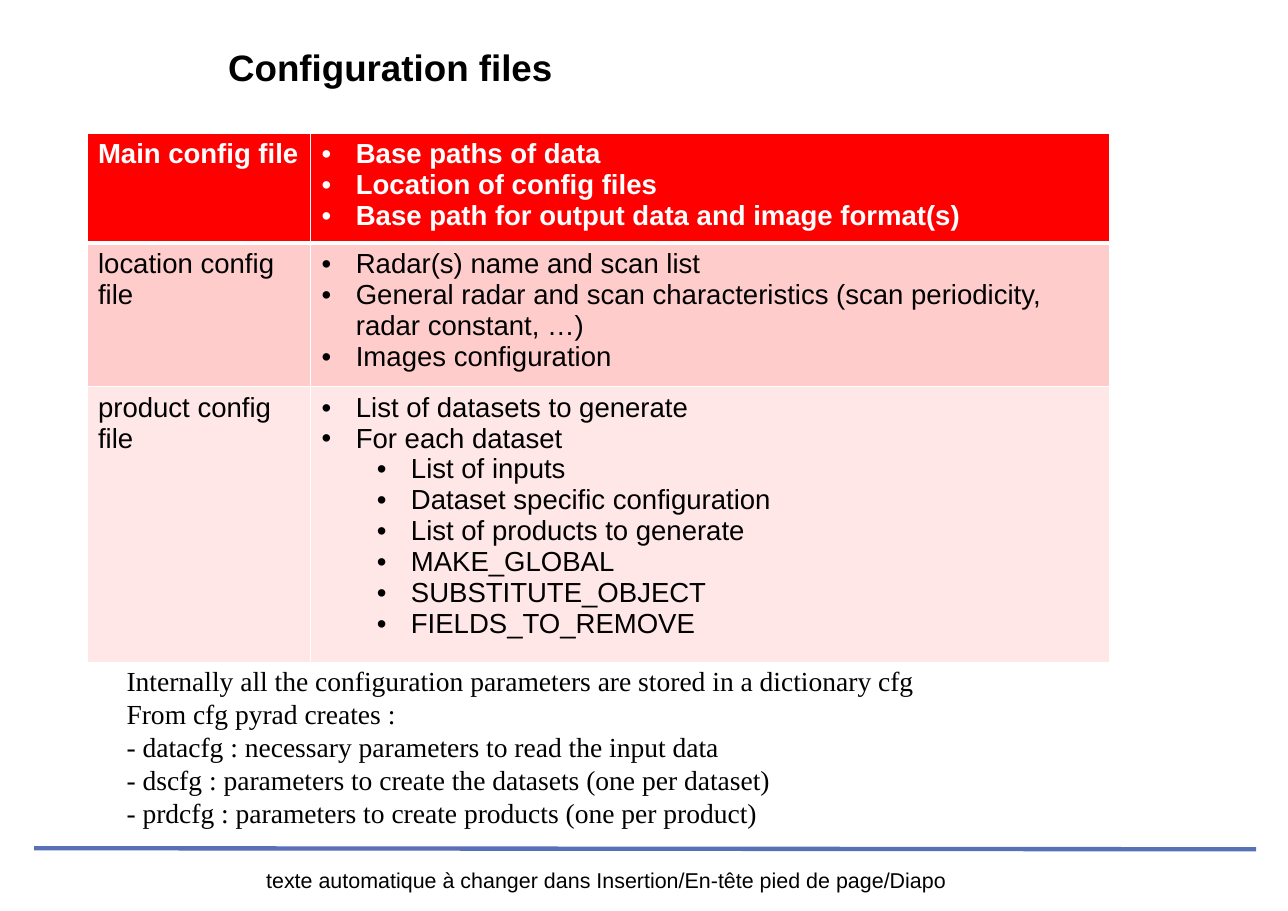
from lxml import etree
from pptx import Presentation
from pptx.dml.color import RGBColor
from pptx.enum.shapes import MSO_CONNECTOR
from pptx.enum.text import MSO_ANCHOR, MSO_AUTO_SIZE, PP_ALIGN
from pptx.oxml.ns import qn
from pptx.util import Inches, Pt

LEFT, CENTER = PP_ALIGN.LEFT, PP_ALIGN.CENTER
MIDDLE, NO_FIT = MSO_ANCHOR.MIDDLE, MSO_AUTO_SIZE.NONE
STRAIGHT = MSO_CONNECTOR.STRAIGHT

COLORS = {
    "white": "FFFFFF",
    "black": "000000",
    "header": "FF0000",
    "location": "FFCCCC",
    "product": "FFE7E7",
    "rule": "5770B6",
}

# Row: height, fill, text colour, label, bullets as (level, text)
ROWS = [
    (1.0, "header", "white", "Main config file", [
        (0, "Base paths of data"),
        (0, "Location of config files"),
        (0, "Base path for output data and image format(s)"),
    ]),
    (1.3, "location", "black", "location config file", [
        (0, "Radar(s) name and scan list"),
        (0, "General radar and scan characteristics "
            "(scan periodicity, radar constant, …)"),
        (0, "Images configuration"),
    ]),
    (2.49, "product", "black", "product config file", [
        (0, "List of datasets to generate"),
        (0, "For each dataset"),
        (1, "List of inputs"),
        (1, "Dataset specific configuration"),
        (1, "List of products to generate"),
        (1, "MAKE_GLOBAL"),
        (1, "SUBSTITUTE_OBJECT"),
        (1, "FIELDS_TO_REMOVE"),
    ]),
]
COLUMN_WIDTHS = (2.03, 7.25)

NOTES = [
    "Internally all the configuration parameters are stored in a dictionary cfg",
    "From cfg pyrad creates :",
    "- datacfg : necessary parameters to read the input data",
    "- dscfg : parameters to create the datasets (one per dataset)",
    "- prdcfg : parameters to create products (one per product)",
]


def rgb(name):
    return RGBColor.from_string(COLORS[name])


def add_run(p, text, size=18, font="Arial", color="black", bold=False):
    r = p.add_run()
    r.text = text
    r.font.size = Pt(size)
    r.font.name = font
    r.font.bold = bold
    r.font.color.rgb = rgb(color)


def next_paragraph(tf, index):
    return tf.add_paragraph() if index else tf.paragraphs[0]


def set_margins(tf, horizontal, vertical):
    tf.margin_left = tf.margin_right = Inches(horizontal)
    tf.margin_top = tf.margin_bottom = Inches(vertical)


def add_bullet(p, level, color):
    pPr = p._p.get_or_add_pPr()
    pPr.set("marL", str(Inches(0.31 + 0.5 * level)))
    pPr.set("indent", str(Inches(-0.31)))
    if level:
        pPr.set("lvl", str(level))
    buClr = etree.SubElement(pPr, qn("a:buClr"))
    etree.SubElement(buClr, qn("a:srgbClr"), val=COLORS[color])
    etree.SubElement(pPr, qn("a:buFont"), typeface="Arial")
    etree.SubElement(pPr, qn("a:buChar"), char="•")


def set_borders(cell, top, bottom):
    tcPr = cell._tc.get_or_add_tcPr()
    widths = {"a:lnL": 0.96, "a:lnR": 0.96, "a:lnT": top, "a:lnB": bottom}
    for tag, width in widths.items():
        ln = etree.SubElement(tcPr, qn(tag), w=str(Pt(width)))
        fill = etree.SubElement(ln, qn("a:solidFill"))
        etree.SubElement(fill, qn("a:srgbClr"), val=COLORS["white"])


# Title placeholder
def place_title(s, x, y, w, h):
    title = s.shapes.title
    title.left, title.top, title.width, title.height = map(Inches, (x, y, w, h))
    title.fill.solid()
    title.fill.fore_color.rgb = rgb("white")
    tf = title.text_frame
    tf.auto_size = NO_FIT
    tf.vertical_anchor = MIDDLE
    set_margins(tf, 0, 0)
    p = tf.paragraphs[0]
    p.alignment = LEFT
    add_run(p, "Configuration files", size=24, bold=True)


# Table of configuration files
def add_config_table(s, x, y, w, h):
    table = s.shapes.add_table(len(ROWS), len(COLUMN_WIDTHS), Inches(x),
                               Inches(y), Inches(w), Inches(h)).table
    table.horz_banding = False
    for column, width in zip(table.columns, COLUMN_WIDTHS):
        column.width = Inches(width)
    for i, (height, fill, color, label, bullets) in enumerate(ROWS):
        table.rows[i].height = Inches(height)
        bold = i == 0
        label_cell, bullet_cell = table.cell(i, 0), table.cell(i, 1)
        for cell in (label_cell, bullet_cell):
            set_borders(cell, 3 if i == 1 else 0.96, 3 if i == 0 else 0.96)
            cell.fill.solid()
            cell.fill.fore_color.rgb = rgb(fill)
        add_run(label_cell.text_frame.paragraphs[0], label,
                color=color, bold=bold)
        for j, (level, text) in enumerate(bullets):
            p = next_paragraph(bullet_cell.text_frame, j)
            add_bullet(p, level, color)
            add_run(p, text, color=color, bold=bold)


# Notes on the cfg dictionary
def add_cfg_notes(s, x, y, w, h):
    tf = s.shapes.add_textbox(Inches(x), Inches(y), Inches(w),
                              Inches(h)).text_frame
    tf.word_wrap = False
    set_margins(tf, 0.1, 0.05)
    for i, text in enumerate(NOTES):
        add_run(next_paragraph(tf, i), text, font="Times New Roman")


# Footer rule and centred text
def add_footer(s, x, y, w, h):
    rule = s.shapes.add_connector(STRAIGHT, Inches(x), Inches(y),
                                  Inches(x + w), Inches(y + 0.01))
    rule.line.color.rgb = rgb("rule")
    rule.line.width = Pt(2.83)
    etree.SubElement(rule._element.spPr, qn("a:effectLst"))
    tf = s.shapes.add_textbox(Inches(x + 1.18), Inches(y + 0.17),
                              Inches(8.03), Inches(h - 0.17)).text_frame
    tf.word_wrap = True
    set_margins(tf, 0, 0)
    p = tf.paragraphs[0]
    p.alignment = CENTER
    add_run(p, "texte automatique à changer dans "
               "Insertion/En-tête pied de page/Diapo", size=14)


def main():
    prs = Presentation()
    prs.slide_width, prs.slide_height = Inches(11.69), Inches(8.27)
    s = prs.slides.add_slide(prs.slide_layouts[5])
    add_footer(s, 0.31, 7.7, 11.09, 0.56)
    place_title(s, 2.07, 0.27, 9.24, 0.67)
    add_config_table(s, 0.79, 1.21, sum(COLUMN_WIDTHS),
                     sum(row[0] for row in ROWS))
    add_cfg_notes(s, 1.05, 5.98, 7.38, 1.48)
    prs.save("out.pptx")


if __name__ == "__main__":
    main()
